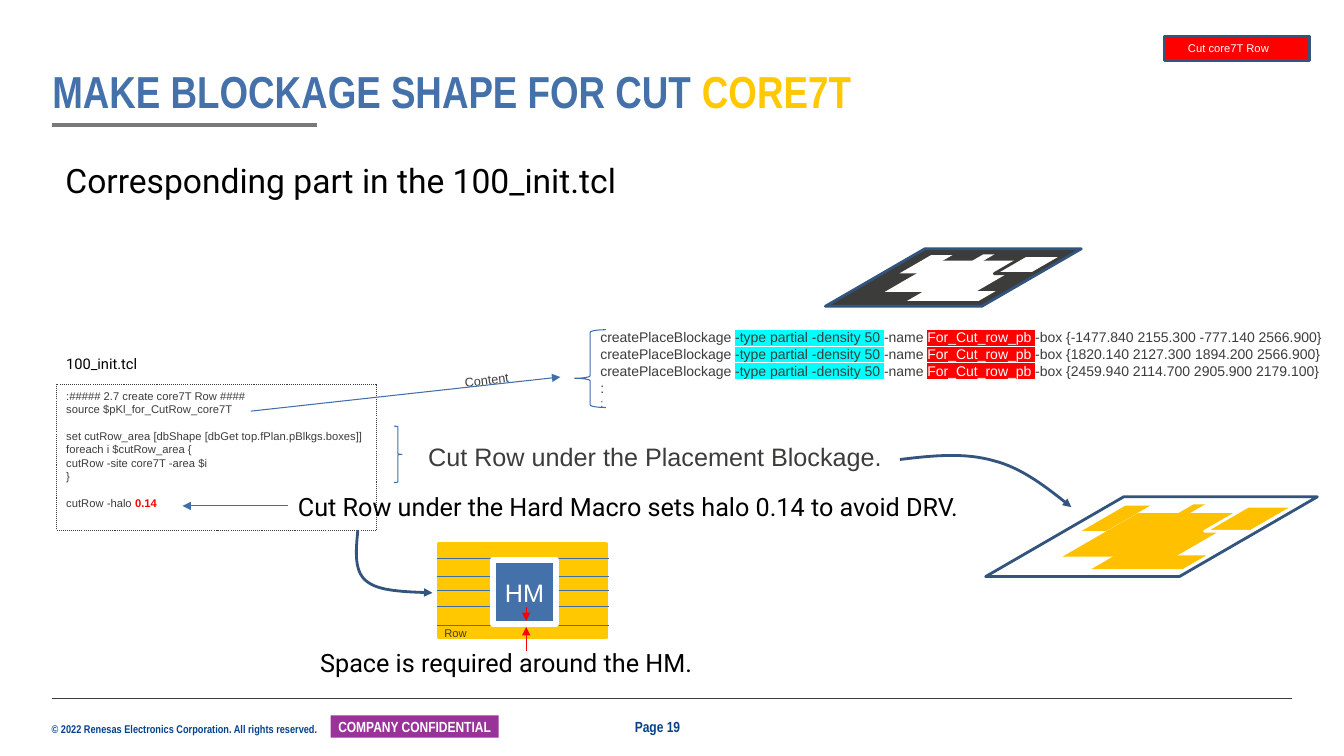
from dataclasses import dataclass

from lxml.etree import SubElement
from pptx import Presentation
from pptx.dml.color import RGBColor
from pptx.enum.dml import MSO_LINE
from pptx.enum.shapes import MSO_CONNECTOR, MSO_SHAPE
from pptx.enum.text import MSO_ANCHOR, MSO_AUTO_SIZE, PP_ALIGN
from pptx.oxml.ns import qn
from pptx.util import Cm, Pt

COLORS = {
    "ink": "3C3C3B", "black": "000000", "white": "FFFFFF", "navy": "06418C",
    "blue": "4471A9", "line": "406EA8", "edge": "32547D", "grey": "797979",
    "yellow": "FFC800", "amber": "FFC000", "red": "FF0000", "cyan": "00FFFF",
    "purple": "993399",
}


@dataclass
class Style:
    size: float
    font: str = "Arial"
    color: str = "ink"
    bold: bool = False


@dataclass
class Piece:
    text: str
    color: str = ""
    highlight: str = ""
    bold: bool = False


@dataclass
class Line:
    pieces: list[Piece]
    size: float = 0
    gap: float = 0


@dataclass
class Label:
    box: tuple
    lines: list[Line]
    style: Style
    rotation: float = 0


@dataclass
class Stroke:
    start: tuple
    end: tuple
    color: str = "line"
    width: float = 0.75
    arrow: bool = False


@dataclass
class Plate:
    box: tuple
    fill: str
    cutout: str
    cutout_edge: str


def rgb(name: str) -> RGBColor:
    return RGBColor.from_string(COLORS[name])


def plain(text: str, gap: float = 0) -> Line:
    return Line([Piece(text)], gap=gap)


def write(shape, lines: list[Line], style: Style, align=PP_ALIGN.LEFT,
          anchor=MSO_ANCHOR.TOP, margins: tuple = (0.25, 0.13, 0.25, 0.13), wrap: bool = False) -> None:
    frame = shape.text_frame
    frame.word_wrap = wrap
    frame.vertical_anchor = anchor
    (frame.margin_left, frame.margin_top,
     frame.margin_right, frame.margin_bottom) = [Cm(margin) for margin in margins]
    for index, line in enumerate(lines):
        paragraph = frame.add_paragraph() if index else frame.paragraphs[0]
        paragraph.alignment = align
        if line.gap:
            paragraph.space_before = Pt(line.gap)
        paragraph.font.size = Pt(line.size or style.size)
        paragraph.font.name = style.font
        paragraph.font.bold = style.bold
        paragraph.font.color.rgb = rgb(style.color)
        for piece in line.pieces:
            run = paragraph.add_run()
            run.text = piece.text
            if piece.bold:
                run.font.bold = True
            if piece.color:
                run.font.color.rgb = rgb(piece.color)
            if piece.highlight:
                properties = run.font._element
                highlight = SubElement(properties, qn("a:highlight"))
                SubElement(highlight, qn("a:srgbClr"), val=COLORS[piece.highlight])


def add_label(shapes, label: Label):
    shape = shapes.add_textbox(*map(Cm, label.box))
    shape.rotation = label.rotation
    write(shape, label.lines, label.style)
    shape.text_frame.auto_size = MSO_AUTO_SIZE.SHAPE_TO_FIT_TEXT
    return shape


def paint(shape, fill: str = "", edge: str = "", width: float = 0.75) -> None:
    shape.shadow.inherit = False
    if fill:
        shape.fill.solid()
        shape.fill.fore_color.rgb = rgb(fill)
    else:
        shape.fill.background()
    if edge:
        shape.line.color.rgb = rgb(edge)
        shape.line.width = Pt(width)
    else:
        shape.line.fill.background()


def add_block(shapes, kind, box: tuple, fill: str = "", edge: str = "", width: float = 0.75):
    shape = shapes.add_shape(kind, *map(Cm, box))
    paint(shape, fill, edge, width)
    return shape


def add_arrowhead(shape) -> None:
    SubElement(shape.line._get_or_add_ln(), qn("a:tailEnd"), type="triangle")


def add_stroke(shapes, stroke: Stroke):
    connector = shapes.add_connector(MSO_CONNECTOR.STRAIGHT, *map(Cm, stroke.start + stroke.end))
    connector.line.color.rgb = rgb(stroke.color)
    connector.line.width = Pt(stroke.width)
    if stroke.arrow:
        add_arrowhead(connector)
    SubElement(connector._element.spPr, qn("a:effectLst"))
    return connector


def add_curve(shapes, points: list[tuple], steps: int = 16) -> None:
    """Trace joined cubic Bezier segments and end them with an arrowhead."""
    builder = shapes.build_freeform(Cm(points[0][0]), Cm(points[0][1]))
    traced = []
    for first in range(0, len(points) - 1, 3):
        segment = points[first:first + 4]
        for step in range(1, steps + 1):
            t = step / steps
            weights = ((1 - t) ** 3, 3 * t * (1 - t) ** 2, 3 * t * t * (1 - t), t ** 3)
            traced.append(tuple(Cm(sum(weight * point[axis] for weight, point in zip(weights, segment)))
                                for axis in (0, 1)))
    builder.add_line_segments(traced, close=False)
    curve = builder.convert_to_shape()
    paint(curve, edge="edge", width=2)
    add_arrowhead(curve)


# Cutouts as percentages of the plate: left, top, width, height, outlined
CUTOUTS = [(23.2, 20.5, 56.6, 54.4, False), (29, 11, 20.6, 31.6, False), (31.9, 73.5, 34.6, 17, False),
           (66, 11.6, 27.1, 31.6, True), (49.5, 9.5, 16.6, 31.6, False)]


def add_plate(shapes, plate: Plate) -> None:
    group = shapes.add_group_shape()
    left, top, width, height = plate.box
    pieces = [(plate.box, plate.fill, "edge")]
    for x, y, w, h, outlined in CUTOUTS:
        box = (left + width * x / 100, top + height * y / 100, width * w / 100, height * h / 100)
        pieces.append((box, plate.cutout, plate.cutout_edge if outlined else ""))
    for box, fill, edge in pieces:
        shape = add_block(group.shapes, MSO_SHAPE.PARALLELOGRAM, box, fill, edge, 2)
        shape.adjustments[0] = 1.73


def blockage(box: str) -> Line:
    return Line([Piece("createPlaceBlockage "), Piece("-type partial -density 50 ", highlight="cyan"),
                 Piece("-name "), Piece("For_Cut_row_pb ", "white", "red"), Piece(f"-box {{{box}}}")])


ROBOTO = Style(18, "Roboto", "black")
LABELS = [
    Label((14.88, 8.15, 18.8, 2.31),
          [blockage("-1477.840 2155.300 -777.140 2566.900"), blockage("1820.140 2127.300 1894.200 2566.900"),
           blockage("2459.940 2114.700 2905.900 2179.100"), plain(":"), Line([Piece(":")], 8)], Style(10)),
    Label((1.4, 3.91, 14.55, 1.27), [plain("Corresponding part in the 100_init.tcl")],
          Style(24, "Roboto", "black")),
    Label((10.54, 11, 12.07, 1.02), [plain("Cut Row under the Placement Blockage.")], Style(18)),
    Label((11.46, 9.25, 1.63, 0.64), [plain("Content")], Style(9), -7.1),
    Label((7.82, 16.18, 10.16, 1.02), [plain("Space is required around the HM.")], ROBOTO),
    Label((10.95, 15.65, 1.09, 0.61), [plain("Row")], Style(8)),
    Label((1.42, 8.81, 2.31, 0.71), [plain("100_init.tcl")], Style(10.5, "Roboto", "black")),
    Label((15.75, 17.96, 1.7, 0.71), [plain("Page 19")], Style(10.5, "Arial Narrow", "navy", True)),
]
CODE = [plain(":##### 2.7 create core7T Row ####"), plain("source $pKl_for_CutRow_core7T"),
        plain("set cutRow_area [dbShape [dbGet top.fPlan.pBlkgs.boxes]]", 9.5),
        plain("foreach i $cutRow_area {"), plain("cutRow -site core7T -area $i"), plain("}"),
        Line([Piece("cutRow -halo "), Piece("0.14", "red", bold=True)], gap=9.5)]
ROW_HEIGHTS = [14.07, 14.53, 14.88, 15.29, 15.77]


def main() -> None:
    presentation = Presentation()
    presentation.slide_width, presentation.slide_height = Cm(33.87), Cm(19.05)
    slide = presentation.slides.add_slide(presentation.slide_layouts[6])
    shapes = slide.shapes
    middle = {"align": PP_ALIGN.CENTER, "anchor": MSO_ANCHOR.MIDDLE}

    # Footer and title
    copyright_line = shapes.add_textbox(Cm(1.3), Cm(18.19), Cm(6.93), Cm(0.33))
    write(copyright_line, [plain("© 2022 Renesas Electronics Corporation. All rights reserved.")],
          Style(8, "Arial Narrow", "navy", True), margins=(0, 0, 0, 0))
    add_stroke(shapes, Stroke((1.3, 17.6), (32.56, 17.6), "ink", 0.5))
    badge = add_block(shapes, MSO_SHAPE.RECTANGLE, (8.33, 18.03, 4.24, 0.56), "purple")
    write(badge, [plain("COMPANY CONFIDENTIAL")], Style(10.5, "Arial Narrow", "white", True),
          margins=(0.1, 0, 0.1, 0), **middle)
    add_stroke(shapes, Stroke((1.3, 3.15), (7.98, 3.15), "grey", 3))
    title = shapes.add_textbox(Cm(1.32), Cm(1.75), Cm(31.24), Cm(1.22))
    write(title, [Line([Piece("MAKE BLOCKAGE SHAPE FOR CUT "), Piece("CORE7T", "yellow")])],
          Style(32, "Arial Narrow", "blue", True), anchor=MSO_ANCHOR.BOTTOM, margins=(0, 0, 0, 0), wrap=True)
    title.text_frame.paragraphs[0].line_spacing = 0.9
    tag = add_block(shapes, MSO_SHAPE.RECTANGLE, (29.34, 0.91, 3.66, 0.61), "red", "edge", 2)
    write(tag, [plain("Cut core7T Row")], Style(8, color="white"), margins=(0.25, 0.13, 0.67, 0.13), **middle)

    # Hard macro on its rows
    add_block(shapes, MSO_SHAPE.RECTANGLE, (11.05, 13.69, 4.24, 2.39), "yellow", "yellow", 2)
    for height in ROW_HEIGHTS:
        add_stroke(shapes, Stroke((11.02, height), (15.34, height)))
    macro = add_block(shapes, MSO_SHAPE.RECTANGLE, (12.42, 14.12, 1.6, 1.6), "blue", "white", 4.25)
    write(macro, [plain("HM")], Style(18, color="white"), **middle)

    # Script listing, braces and labels
    code = add_block(shapes, MSO_SHAPE.RECTANGLE, (1.42, 9.68, 8.08, 3.68), edge="ink")
    code.line.dash_style = MSO_LINE.ROUND_DOT
    write(code, CODE, Style(8))
    left_brace = add_block(shapes, MSO_SHAPE.LEFT_BRACE, (14.48, 8.31, 0.79, 1.96), edge="line")
    left_brace.adjustments[0], left_brace.adjustments[1] = 0.083, 0.624
    add_block(shapes, MSO_SHAPE.RIGHT_BRACE, (9.93, 10.74, 0.2, 1.42), edge="line")
    for label in LABELS:
        add_label(shapes, label)
    halo_note = add_label(shapes, Label(
        (7.26, 12.24, 17.37, 1.02), [plain("Cut Row under the Hard Macro sets halo 0.14 to avoid DRV.")], ROBOTO))

    # Arrows
    halo_arrow = add_stroke(shapes, Stroke((7.26, 12.75), (4.6, 12.75), arrow=True))
    halo_arrow.begin_connect(halo_note, 1)
    for stroke in (Stroke((6.32, 10.36), (14.12, 9.5), arrow=True),
                   Stroke((13.26, 16.41), (13.26, 15.8), "red", arrow=True),
                   Stroke((13.26, 15.29), (13.26, 15.65), "red", arrow=True)):
        add_stroke(shapes, stroke)

    # Blockage plates and curved arrows
    for plate in (Plate((24.84, 12.52, 8.36, 2.01), "white", "amber", "white"),
                  Plate((20.8, 6.27, 6.45, 1.45), "ink", "white", "ink")):
        add_plate(shapes, plate)
    add_curve(shapes, [(22.68, 11.58), (23.5, 11.48), (24.31, 11.4), (25.04, 11.61),
                       (25.76, 11.79), (26.39, 12.29), (27, 12.78)])
    add_curve(shapes, [(9.02, 13.36), (8.97, 13.87), (8.92, 14.38), (9.22, 14.63),
                       (9.53, 14.91), (10.21, 14.91), (10.9, 14.94)])

    presentation.save("out.pptx")


if __name__ == "__main__":
    main()
